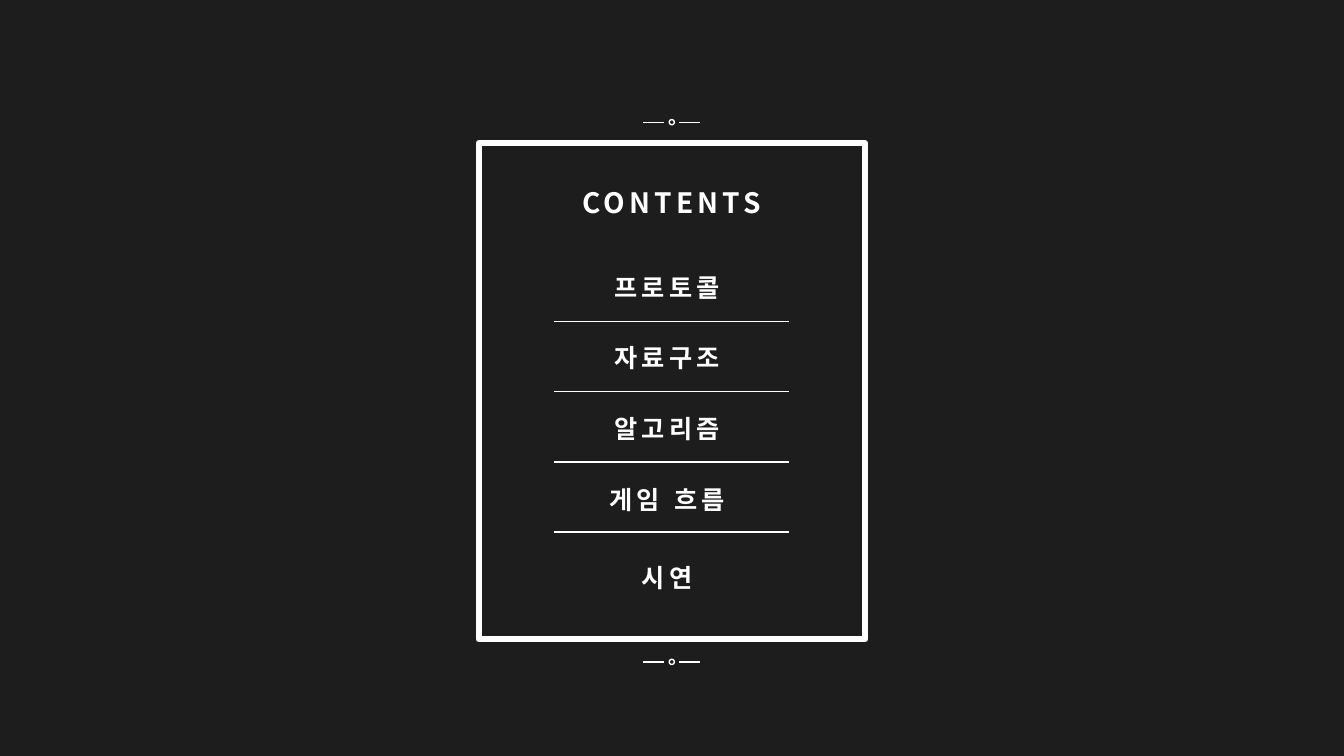
from lxml import etree
from pptx import Presentation
from pptx.dml.color import RGBColor
from pptx.enum.shapes import MSO_CONNECTOR, MSO_SHAPE
from pptx.enum.text import MSO_ANCHOR, MSO_AUTO_SIZE, PP_ALIGN
from pptx.oxml.ns import qn
from pptx.util import Cm, Pt

STRAIGHT = MSO_CONNECTOR.STRAIGHT
RECTANGLE, OVAL = MSO_SHAPE.RECTANGLE, MSO_SHAPE.OVAL
MIDDLE, CENTER = MSO_ANCHOR.MIDDLE, PP_ALIGN.CENTER
FIT_SHAPE = MSO_AUTO_SIZE.SHAPE_TO_FIT_TEXT

COLORS = {"background": "1D1D1D", "white": "FFFFFF"}
WHITE = RGBColor.from_string(COLORS["white"])
FONT = "Noto Sans CJK KR"
MIDDLE_X = 16.93

deck = Presentation()
deck.slide_width, deck.slide_height = Cm(33.87), Cm(19.05)
page = deck.slides.add_slide(deck.slide_layouts[6])
page.background.fill.solid()
page.background.fill.fore_color.rgb = RGBColor.from_string(COLORS["background"])


def add_rule(shapes, left, right, y):
    """Draw a thin white horizontal line without a shadow."""
    rule = shapes.add_connector(STRAIGHT, Cm(left), Cm(y), Cm(right), Cm(y))
    rule.line.color.rgb = WHITE
    rule.line.width = Pt(1)
    etree.SubElement(rule._element.spPr, qn("a:effectLst"))


def add_outline(shapes, kind, left, top, width, height, weight):
    outline = shapes.add_shape(kind, Cm(left), Cm(top), Cm(width), Cm(height))
    outline.shadow.inherit = False
    outline.fill.background()
    outline.line.color.rgb = WHITE
    outline.line.width = Pt(weight)


# Frame with an ornament above and below
add_outline(page.shapes, RECTANGLE, 12.07, 3.61, 9.73, 12.5, 4.5)
for y in (3.08, 16.68):
    ornament = page.shapes.add_group_shape().shapes
    add_outline(ornament, OVAL, MIDDLE_X - 0.065, y - 0.065, 0.13, 0.13, 1)
    add_rule(ornament, MIDDLE_X + 0.19, MIDDLE_X + 0.72, y)
    add_rule(ornament, MIDDLE_X - 0.72, MIDDLE_X - 0.19, y)

# Dividers between the entries
for index in range(4):
    add_rule(page.shapes, 13.97, 19.89, 8.1 + 1.77 * index)

# Heading and entries: text, middle x, middle y, width, height, size
ENTRY_X = 16.81
labels = [("CONTENTS", MIDDLE_X, 5.11, 5.11, 1.12, 20)]
for index, (entry, width) in enumerate(
    [("프로토콜", 3.45), ("자료구조", 3.45), ("알고리즘", 3.45), ("게임 흐름", 3.76)]
):
    labels.append((entry, ENTRY_X, 7.24 + 1.78 * index, width, 1.02, 18))
labels.append(("시연", ENTRY_X, 14.56, 1.98, 1.02, 18))

for text, x, y, width, height, size in labels:
    box = page.shapes.add_textbox(
        Cm(x - width / 2), Cm(y - height / 2), Cm(width), Cm(height)
    )
    frame = box.text_frame
    frame.word_wrap = False
    frame.auto_size = FIT_SHAPE
    frame.vertical_anchor = MIDDLE
    para = frame.paragraphs[0]
    para.alignment = CENTER
    span = para.add_run()
    span.text = text
    for name, value in {"name": FONT, "size": Pt(size), "bold": True}.items():
        setattr(span.font, name, value)
    span.font.color.rgb = WHITE
    properties = span._r.get_or_add_rPr()
    properties.set("spc", "300")
    east_asian = etree.Element(qn("a:ea"), typeface=FONT)
    properties.find(qn("a:latin")).addnext(east_asian)

deck.save("out.pptx")
